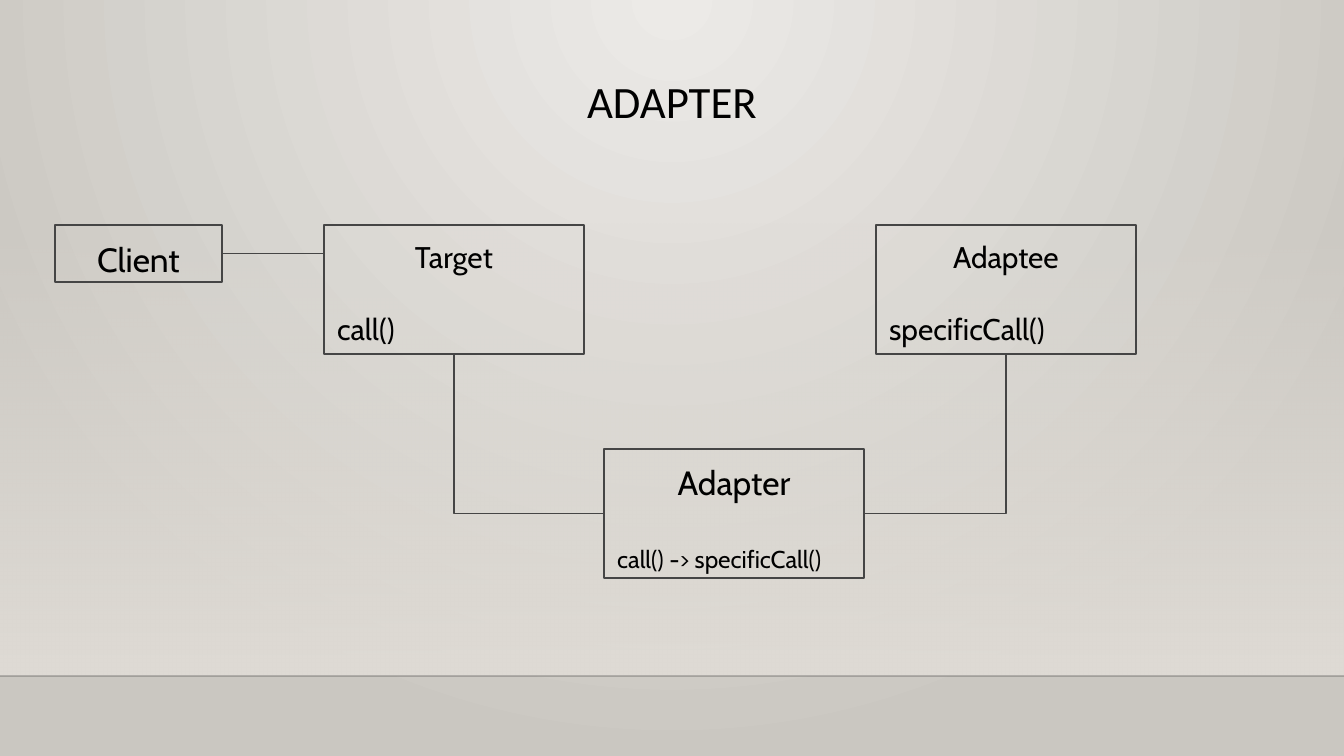
import pptx
import pptx.util
import pptx.dml.color
import pptx.enum.shapes
import pptx.enum.text
import pptx.oxml
import pptx.oxml.ns

PX = 914400 / 134.4
INK = {"text": "000000", "edge": "454545", "floor": "000001",
       "haze": "DFDBD5", "light": "ECEAE7", "dark": "CAC7C1"}
KIND = pptx.enum.shapes.MSO_CONNECTOR
ALIGN = pptx.enum.text.PP_ALIGN
TOP, LEFT, BOTTOM, RIGHT = range(4)
qn = pptx.oxml.ns.qn


def px(n):
    return pptx.util.Emu(round(n * PX))


def rgb(name):
    return pptx.dml.color.RGBColor.from_string(INK[name])


def node(tag, **attrs):
    item = pptx.oxml.parse_xml(f"<a:{tag} {pptx.oxml.ns.nsdecls('a')}/>")
    for key, val in attrs.items():
        item.set(key, str(val))
    return item


def fade(color, percent):
    color.append(node("alpha", val=percent * 1000))


def blend(fill, first, last):
    fill.gradient()
    for stop, name in zip(fill.gradient_stops, (first, last)):
        stop.color.rgb = rgb(name)


def write(para, text, size, font, align):
    para.alignment = align
    run = para.add_run()
    run.text = text
    run.font.size = pptx.util.Pt(size)
    run.font.name = font
    run.font.color.rgb = rgb("text")


def frame(shape):
    text = shape.text_frame
    text.word_wrap = True
    text.auto_size = pptx.enum.text.MSO_AUTO_SIZE.NONE
    text.vertical_anchor = pptx.enum.text.MSO_ANCHOR.TOP
    text.margin_left = text.margin_right = pptx.util.Inches(0.1)
    text.margin_top = text.margin_bottom = pptx.util.Inches(0.1)
    return text


def rect(slide, x, y, w, h):
    shape = slide.shapes.add_shape(
        pptx.enum.shapes.MSO_SHAPE.RECTANGLE, px(x), px(y), px(w), px(h))
    shape.shadow.inherit = False
    return shape


def link(slide, kind, x1, y1, x2, y2, ink="edge", width=0.75):
    line = slide.shapes.add_connector(kind, px(x1), px(y1), px(x2), px(y2))
    line.line.color.rgb = rgb(ink)
    line.line.width = pptx.util.Pt(width)
    line.element.spPr.append(node("effectLst"))
    return line


def elbow(slide, start, side, end):
    """Run sideways out of start, then up to the bottom of end."""
    line = link(slide, KIND.ELBOW, 0, 0, 1, 1)
    line.begin_connect(start, side)
    line.end_connect(end, BOTTOM)
    line.element.spPr.find(qn("a:prstGeom")).set("prst", "bentConnector2")


def backdrop(slide, w, h, floor):
    # Radial glow from the top centre
    blend(slide.background.fill, "light", "dark")
    grad = next(slide.element.iter(qn("a:gradFill")))
    glow = node("path", path="circle")
    glow.append(node("fillToRect", l=43000, t=0, r=43000, b=100000))
    grad.replace(grad.find(qn("a:lin")), glow)

    # Haze that thickens down to the floor line
    top = h * 223 // 756
    haze = rect(slide, 0, top, w, floor - top)
    blend(haze.fill, "haze", "haze")
    haze.fill.gradient_angle = 270
    fade(next(haze.element.spPr.iter(qn("a:srgbClr"))), 0)
    haze.line.fill.background()

    line = link(slide, KIND.STRAIGHT, 0, floor, w, floor, "floor", 1)
    fade(next(line.element.spPr.iter(qn("a:srgbClr"))), 20)


def heading(slide, text, x, y, w, h):
    title = slide.shapes.title
    title.left, title.top, title.width, title.height = map(px, (x, y, w, h))
    para = frame(title).paragraphs[0]
    para.line_spacing = 0.9
    write(para, text, 24, "Calibri", ALIGN.CENTER)


def node_box(slide, x, y, w, h, name, size, call=None, small=None):
    box = rect(slide, x, y, w, h)
    box.fill.background()
    box.line.color.rgb = rgb("edge")
    box.line.width = pptx.util.Pt(0.75)
    text = frame(box)
    write(text.paragraphs[0], name, size, "Cabin", ALIGN.CENTER)
    if call:
        para = text.add_paragraph()
        para.space_before = pptx.util.Pt(round(size * 1.22, 1))
        write(para, call, small, "Cabin", ALIGN.LEFT)
    return box


def diagram(slide, x, y):
    w, h = 260, 129
    # Classes
    adaptee = node_box(slide, x + 821, y, w, h, "Adaptee", 16, "specificCall()", 16)
    target = node_box(slide, x + 269, y, w, h, "Target", 16, "call()", 16)
    client = node_box(slide, x, y, 167, 57, "Client", 18)
    adapter = node_box(slide, x + 549, y + 224, w, h, "Adapter", 18,
                       "call() -> specificCall()", 13)
    # Relations
    mid = y + 28.5
    use = link(slide, KIND.STRAIGHT, x + 167, mid, x + 269, mid)
    use.begin_connect(client, RIGHT)
    elbow(slide, adapter, LEFT, target)
    elbow(slide, adapter, RIGHT, adaptee)


def main():
    deck = pptx.Presentation()
    w, h = 1344, 756
    deck.slide_width, deck.slide_height = px(w), px(h)
    slide = deck.slides.add_slide(deck.slide_layouts[5])
    backdrop(slide, w, h, 676)
    heading(slide, "ADAPTER", 46, 66, w - 2 * 46, 84)
    diagram(slide, 55, 225)
    deck.save("out.pptx")


if __name__ == "__main__":
    main()
